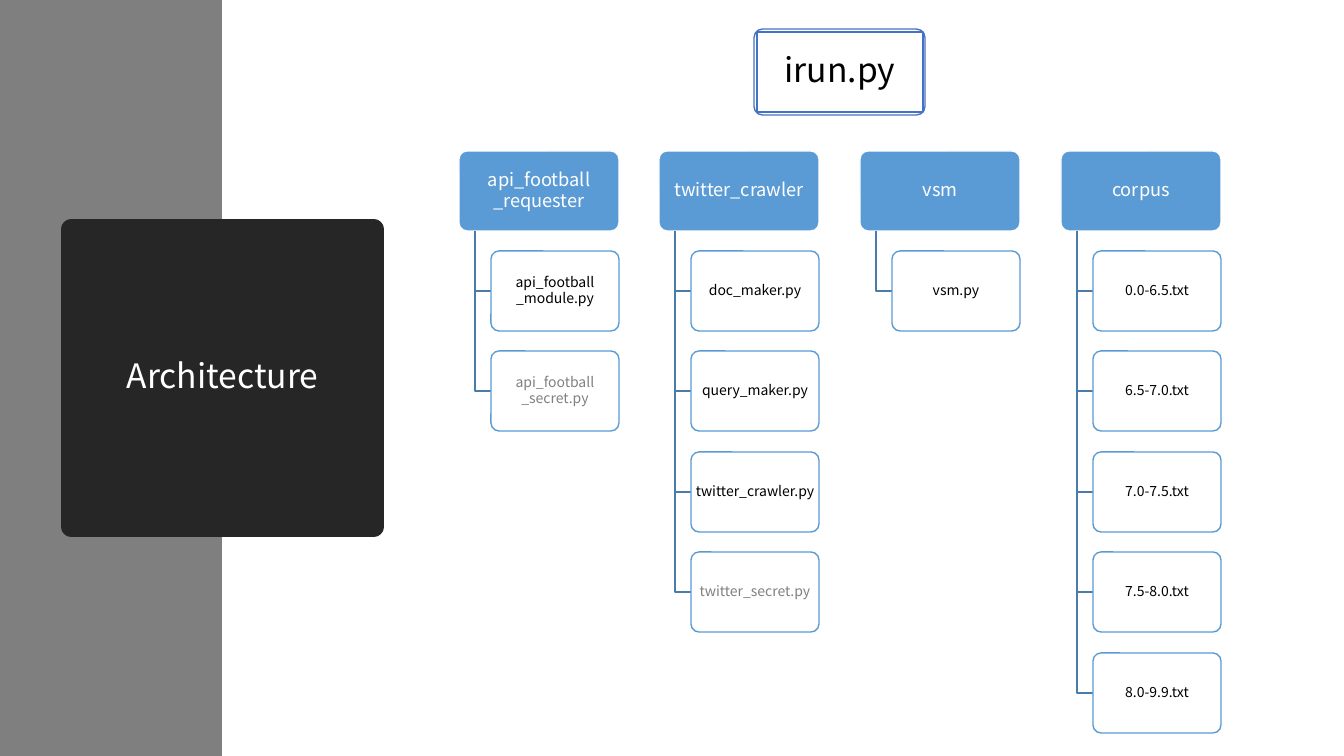
"""Builds the architecture slide: a root script, four modules and their files."""
import pptx
import pptx.dml.color
import pptx.enum.shapes
import pptx.enum.text
import pptx.oxml.ns
import pptx.util
from lxml import etree

RGBColor = pptx.dml.color.RGBColor
SHAPE = pptx.enum.shapes.MSO_SHAPE

TITLE = "Architecture"
ROOT = "irun.py"
MODULES = [
    ("api_football\n_requester", ["api_football\n_module.py", "api_football\n_secret.py"]),
    ("twitter_crawler",
     ["doc_maker.py", "query_maker.py", "twitter_crawler.py", "twitter_secret.py"]),
    ("vsm", ["vsm.py"]),
    ("corpus",
     ["0.0-6.5.txt", "6.5-7.0.txt", "7.0-7.5.txt", "7.5-8.0.txt", "8.0-9.9.txt"]),
]

FONT = "Noto Sans CJK KR"
WHITE = RGBColor(0xFF, 0xFF, 0xFF)
BLACK = RGBColor(0x00, 0x00, 0x00)
SIDEBAR = RGBColor(0x7F, 0x7F, 0x7F)
TITLE_FILL = RGBColor(0x26, 0x26, 0x26)
SECRET = RGBColor(0x80, 0x80, 0x80)
MODULE_BLUE = RGBColor(0x5B, 0x9B, 0xD5)
ROOT_BLUE = RGBColor(0x44, 0x72, 0xC4)
ELBOW_BLUE = RGBColor(0x49, 0x7C, 0xAB)

SLIDE_W, SLIDE_H = 1344, 756
EMU_PER_PX = 12192000 / SLIDE_W
COL_LEFT, THREE_COLS = 459, 602
MODULE_TOP, MODULE_W, BOX_H = 151, 160, 80
FILE_TOP, FILE_W, TWO_ROWS = 251, 128, 201
ELBOW_INDENT, FILE_INDENT = 16, 32


def px(n):
    return pptx.util.Emu(round(n * EMU_PER_PX))


def add_box(shapes, kind, left, top, width, height, fill, line=None, weight=1,
            radius=None, alpha=None):
    sp = shapes.add_shape(kind, px(left), px(top), px(width), px(height))
    sp.shadow.inherit = False
    if radius is not None:
        sp.adjustments[0] = radius
    sp.fill.solid()
    sp.fill.fore_color.rgb = fill
    if alpha is not None:
        color = sp.fill._xPr.find(".//" + pptx.oxml.ns.qn("a:srgbClr"))
        etree.SubElement(color, pptx.oxml.ns.qn("a:alpha"), val=str(alpha * 1000))
    if line is None:
        sp.line.fill.background()
    else:
        sp.line.color.rgb = line
        sp.line.width = pptx.util.Pt(weight)
    return sp


def add_text(sp, text, size=10, color=BLACK, after=1, inset=2):
    tf = sp.text_frame
    tf.word_wrap = False
    tf.vertical_anchor = pptx.enum.text.MSO_ANCHOR.MIDDLE
    tf.margin_left = tf.margin_right = tf.margin_top = tf.margin_bottom = px(inset)
    tf.text = text
    for p in tf.paragraphs:
        p.alignment = pptx.enum.text.PP_ALIGN.CENTER
        p.line_spacing = 0.9
        p.space_after = pptx.util.Pt(after)
        for r in p.runs:
            r.font.name = FONT
            r.font.size = pptx.util.Pt(size)
            r.font.color.rgb = color


def add_elbow(shapes, left, top, right, bottom):
    builder = shapes.build_freeform(px(left), px(top))
    builder.add_line_segments([(px(left), px(bottom)), (px(right), px(bottom))], close=False)
    sp = builder.convert_to_shape()
    sp.shadow.inherit = False
    sp.fill.background()
    sp.line.color.rgb = ELBOW_BLUE
    sp.line.width = pptx.util.Pt(1)


def add_module(shapes, left, name, files):
    sp = add_box(shapes, SHAPE.ROUNDED_RECTANGLE, left, MODULE_TOP, MODULE_W, BOX_H,
                 MODULE_BLUE, WHITE, radius=0.1)
    add_text(sp, name, size=13, color=WHITE)
    for row, file in enumerate(files):
        top = FILE_TOP + row * TWO_ROWS // 2
        add_elbow(shapes, left + ELBOW_INDENT, MODULE_TOP + BOX_H,
                  left + FILE_INDENT, top + BOX_H // 2)
        sp = add_box(shapes, SHAPE.ROUNDED_RECTANGLE, left + FILE_INDENT, top, FILE_W, BOX_H,
                     WHITE, MODULE_BLUE, radius=0.1, alpha=90)
        secret = file.endswith("_secret.py")
        add_text(sp, file, color=SECRET if secret else BLACK, after=0 if secret else 1)


def main():
    prs = pptx.Presentation()
    prs.slide_width, prs.slide_height = px(SLIDE_W), px(SLIDE_H)
    shapes = prs.slides.add_slide(prs.slide_layouts[6]).shapes

    add_box(shapes, SHAPE.RECTANGLE, 0, 0, 222, SLIDE_H, SIDEBAR)
    sp = add_box(shapes, SHAPE.ROUNDED_RECTANGLE, 71, 229, 303, 298, TITLE_FILL,
                 TITLE_FILL, weight=13.75, radius=0)
    add_text(sp, TITLE, size=24, color=WHITE, after=0)

    for col, (name, files) in enumerate(MODULES):
        add_module(shapes, COL_LEFT + col * THREE_COLS // 3, name, files)

    add_box(shapes, SHAPE.ROUNDED_RECTANGLE, 754, 29, 171, 86, WHITE, ROOT_BLUE, radius=0.1)
    sp = add_box(shapes, SHAPE.RECTANGLE, 757, 32, 166, 80, WHITE, ROOT_BLUE)
    add_text(sp, ROOT, size=24)

    prs.save("out.pptx")


if __name__ == "__main__":
    main()
